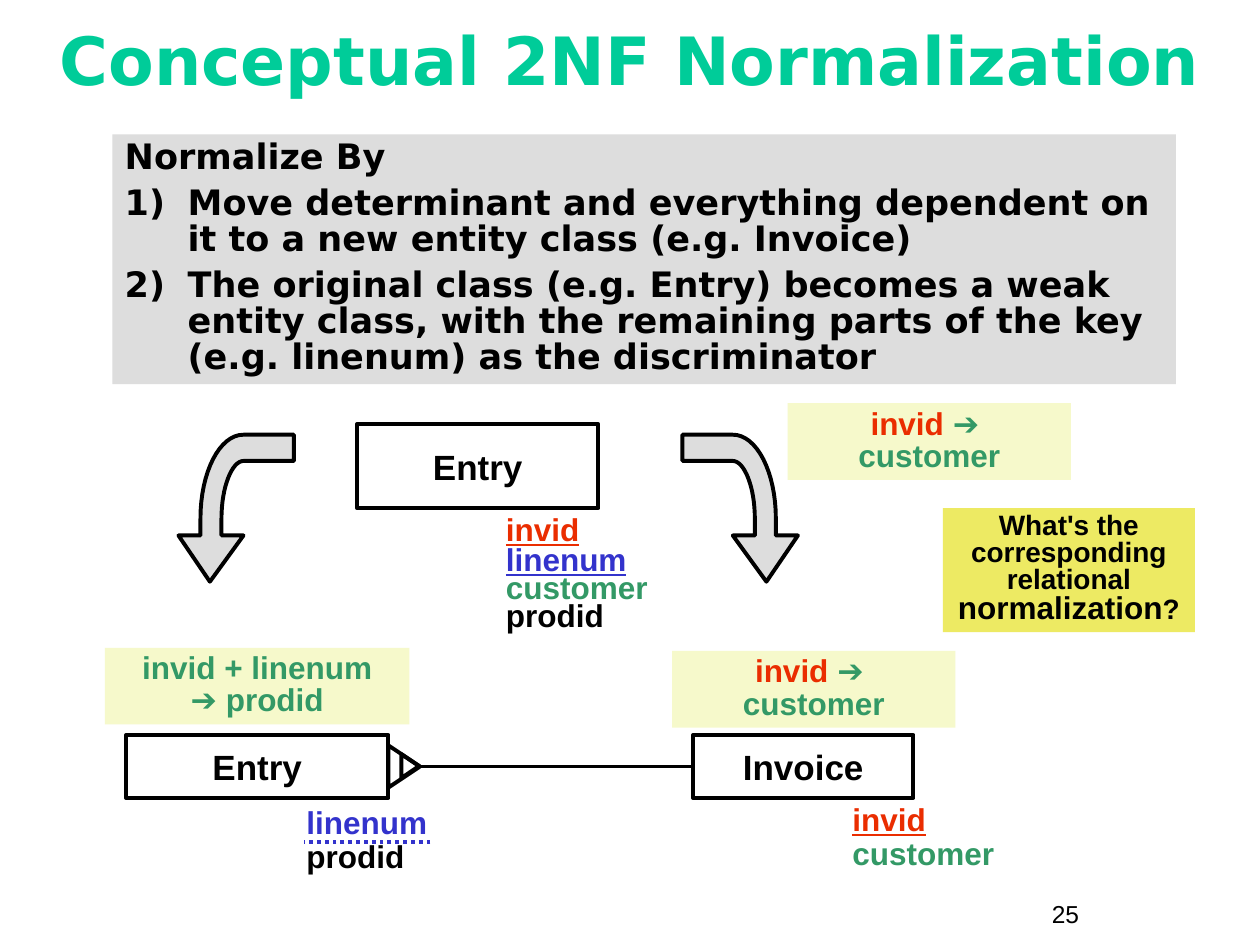
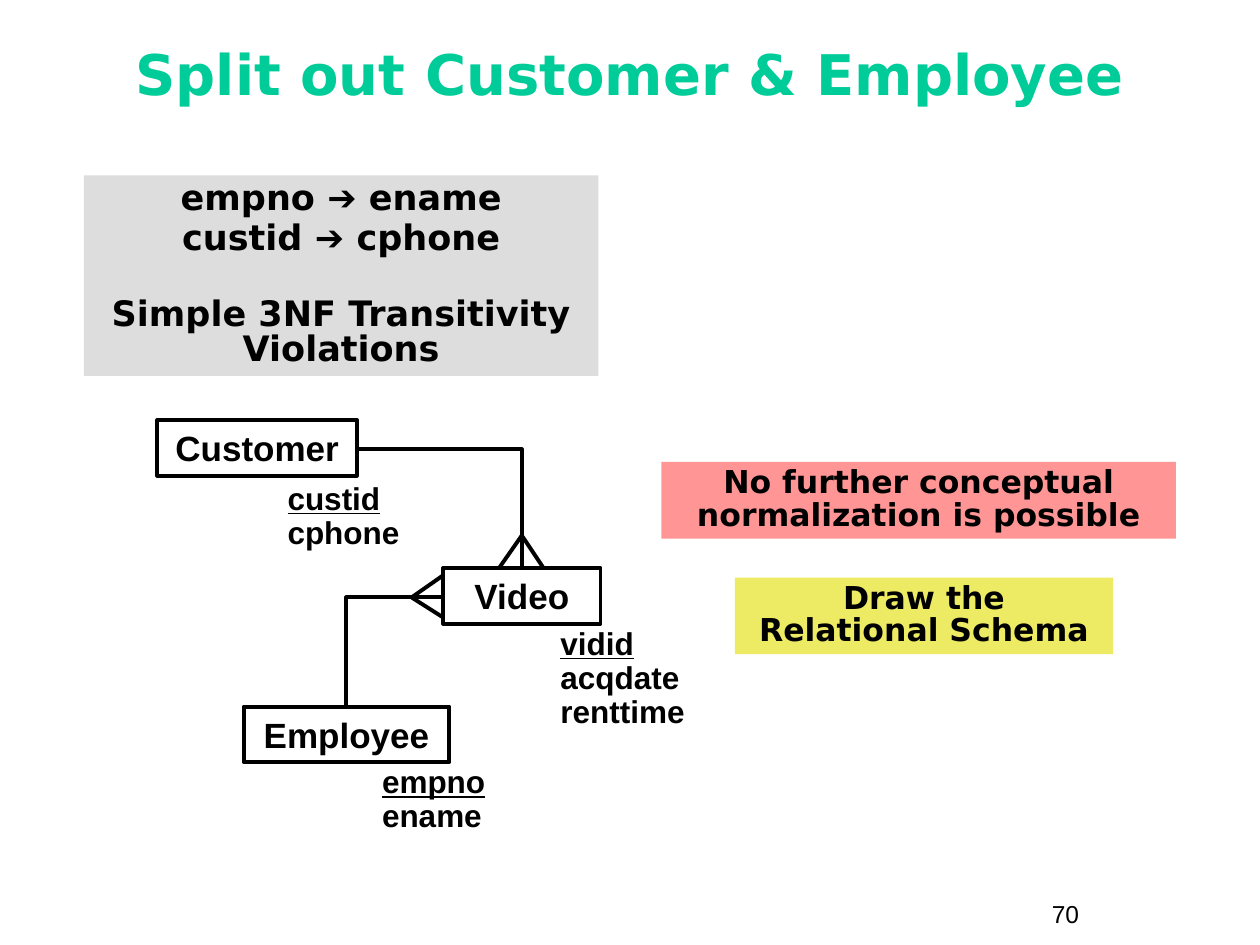
from dataclasses import dataclass
from lxml import etree
from pptx import Presentation
from pptx import util as u
from pptx.dml.color import RGBColor
from pptx.enum import dml, shapes, text
from pptx.oxml import ns


@dataclass(frozen=True)
class Theme:
    heading: str = "DejaVu Sans"
    body: str = "Arial"
    title: str = "00CC99"
    ink: str = "000000"
    key: str = "EA2D00"
    discriminator: str = "3333CC"
    dependent: str = "339966"
    panel: str = "DDDDDD"
    rule: str = "F6F9CB"
    task: str = "EDEA63"
    alert: str = "FF9595"
    entity_size: int = 20
    attribute_size: int = 18
    question_size: int = 16
    number_size: int = 14
    line_width: float = 2.25


theme = Theme()
COLUMNS, ROWS = 120, 90
presentation = Presentation()
presentation.slide_width = u.Inches(10)
presentation.slide_height = u.Inches(7.5)
column = presentation.slide_width / COLUMNS
row = presentation.slide_height / ROWS

CENTER = text.PP_ALIGN.CENTER
BODY = {"name": theme.body, "size": theme.attribute_size, "bold": True, "color": theme.ink}
HEADING = BODY | {"name": theme.heading}
ENTITY = BODY | {"size": theme.entity_size}
PANEL = HEADING | {"size": theme.entity_size}
NUMBER = BODY | {"size": theme.number_size, "bold": False}
KEY = {"color": theme.key}
DISCRIMINATOR = {"color": theme.discriminator}
DEPENDENT = {"color": theme.dependent}
UNDERLINE = {"underline": True}
CENTERED = {"alignment": CENTER}
TIGHT = CENTERED | {"line_spacing": 0.85}
LIST = {"line_spacing": 0.9}


def add_text(slide, box, paragraphs, font, layout, fill=None, outline=False, middle=False):
    left, top, width, height = box
    frame = [round(left * column), round(top * row), round(width * column), round(height * row)]
    if fill or outline:
        shape = slide.shapes.add_shape(shapes.MSO_SHAPE.RECTANGLE, *frame)
        shape.shadow.inherit = False
    else:
        shape = slide.shapes.add_textbox(*frame)
    if fill:
        shape.fill.solid()
        shape.fill.fore_color.rgb = RGBColor.from_string(fill)
    else:
        shape.fill.background()
    if outline:
        shape.line.color.rgb = RGBColor.from_string(theme.ink)
        shape.line.width = u.Pt(theme.line_width)
    else:
        shape.line.fill.background()
    body = shape.text_frame
    body.word_wrap = True
    body.vertical_anchor = text.MSO_ANCHOR.MIDDLE if middle else text.MSO_ANCHOR.TOP
    for index, (runs, extra) in enumerate(paragraphs):
        paragraph = body.add_paragraph() if index else body.paragraphs[0]
        for name, value in ({"alignment": text.PP_ALIGN.LEFT} | layout | extra).items():
            setattr(paragraph, name, value)
        for words, run_font in runs:
            for line_index, words_on_line in enumerate(words.split("\n")):
                if line_index:
                    paragraph.add_line_break()
                run = paragraph.add_run()
                run.text = words_on_line
                values = font | run_font
                run.font.color.rgb = RGBColor.from_string(values.pop("color"))
                values["size"] = u.Pt(values["size"])
                for name, value in values.items():
                    setattr(run.font, name, value)
    return shape


def add_line(slide, start, end, color=theme.ink, bent=False):
    ends = [round(value) for x, y in (start, end) for value in (x * column, y * row)]
    connector = slide.shapes.add_connector(shapes.MSO_CONNECTOR.STRAIGHT, *ends)
    properties = connector._element.spPr
    if bent:
        properties.find(ns.qn("a:prstGeom")).set("prst", "bentConnector2")
    connector.line.color.rgb = RGBColor.from_string(color)
    connector.line.width = u.Pt(theme.line_width)
    etree.SubElement(properties, ns.qn("a:effectLst"))
    return connector


slides = []
for title, title_size, title_box, number in (
    ("Conceptual 2NF Normalization", 38, (4, 2.25, 112, 8), "25"),
    ("Split out Customer & Employee", 32, (9, 2, 102, 11), "70"),
):
    slide = presentation.slides.add_slide(presentation.slide_layouts[6])
    add_text(slide, (99, 85, 11, 4), [([(number, {})], {})], NUMBER, {})
    title_font = HEADING | {"size": title_size, "color": theme.title}
    add_text(slide, title_box, [([(title, {})], {})], title_font, TIGHT, middle=True)
    slides.append(slide)
normal_form, split = slides

for slide, name, box in (
    (normal_form, "Entry", (34, 40.4, 23, 8)),
    (normal_form, "Invoice", (66, 70, 21, 6)),
    (normal_form, "Entry", (12, 70, 25, 6)),
    (split, "Video", (42.2, 54.1, 15, 5.3)),
    (split, "Employee", (23.2, 67.3, 19.6, 5.3)),
    (split, "Customer", (15, 40, 19, 5.3)),
):
    add_text(slide, box, [([(name, {})], {})], ENTITY, CENTERED, outline=True, middle=True)

squeezed = {"line_spacing": 0.75}
for slide, box, attributes in (
    (normal_form, (47, 48.4, 16, 12.6), [
        ("invid", KEY | UNDERLINE, {}),
        ("linenum", DISCRIMINATOR | UNDERLINE, squeezed),
        ("customer", DEPENDENT, squeezed),
        ("prodid", {}, squeezed)]),
    (normal_form, (80, 76, 17, 7.7), [("invid", KEY | UNDERLINE, {}), ("customer", DEPENDENT, {})]),
    (normal_form, (28, 76.3, 20, 7.7), [("linenum", DISCRIMINATOR, {}), ("prodid", {}, {})]),
    (split, (52.2, 59.2, 17, 10.9), [("vidid", UNDERLINE, {}), ("acqdate", {}, {}), ("renttime", {}, {})]),
    (split, (35.2, 72.4, 14, 7.7), [("empno", UNDERLINE, {}), ("ename", {}, {})]),
    (split, (26.2, 45.4, 14, 7.7), [("custid", UNDERLINE, {}), ("cphone", {}, {})]),
):
    add_text(slide, box, [([(name, font)], extra) for name, font, extra in attributes], BODY, LIST)

invoice_rule = [("invid ", KEY), ("➔ \ncustomer", DEPENDENT)]
for box, runs in (
    ((64, 62, 27, 7.3), invoice_rule),
    ((10, 61.7, 29, 7.3), [("invid + linenum\n➔ prodid", DEPENDENT)]),
    ((75, 38.4, 27, 7.3), invoice_rule),
):
    add_text(normal_form, box, [(runs, {})], BODY, TIGHT, fill=theme.rule)

steps = (
    "Normalize By",
    "Move determinant and everything dependent on it to a new entity class (e.g. Invoice)",
    "The original class (e.g. Entry) becomes a weak entity class, with the remaining parts "
    "of the key (e.g. linenum) as the discriminator",
)
method = add_text(
    normal_form, (10.7, 12.8, 101.3, 23.8),
    [([(step, {})], {"space_before": u.Pt(6.2 if index else 0)}) for index, step in enumerate(steps)],
    PANEL, {"line_spacing": 0.85}, fill=theme.panel)
for paragraph in method.text_frame.paragraphs[1:]:
    properties = paragraph._p.get_or_add_pPr()
    properties.set("marL", str(u.Inches(0.5)))
    properties.set("indent", str(-u.Inches(0.5)))
    bullet = etree.SubElement(properties, ns.qn("a:buAutoNum"))
    bullet.set("type", "arabicParenR")

question = [
    ("What's the corresponding relational ", {}),
    ("normalization", {"size": theme.attribute_size}),
    ("?", {}),
]
add_text(normal_form, (89.8, 48.4, 24, 11.8), [(question, {})], BODY | {"size": theme.question_size},
         CENTERED | {"line_spacing": 0.8}, fill=theme.task)

add_line(normal_form, (65.8, 73), (40, 73))
underline = add_line(normal_form, (41, 80.16), (29, 80.16), theme.discriminator)
underline.line.dash_style = dml.MSO_LINE.ROUND_DOT

for left, top, width, height in ((36.5, 71.5, 4, 3), (37.92, 72.12, 2.28, 1.68)):
    foot = normal_form.shapes.add_shape(
        shapes.MSO_SHAPE.ISOSCELES_TRIANGLE, round(left * column), round(top * row),
        round(width * column), round(height * row))
    foot.rotation = 90
    foot.shadow.inherit = False
    foot.fill.background()
    foot.line.color.rgb = RGBColor.from_string(theme.ink)
    foot.line.width = u.Pt(theme.line_width)

outer_curve = ((23.2, 41.4), (20.9, 41.4), (19.1, 45), (19.1, 49.4))
inner_curve = ((21.1, 49.4), (21.1, 46.4), (22.1, 43.9), (23.2, 43.9))
arcs = []
for curve in (outer_curve, inner_curve):
    arc = []
    for step in range(17):
        t = step / 16
        weights = ((1 - t) ** 3, 3 * t * (1 - t) ** 2, 3 * t ** 2 * (1 - t), t ** 3)
        arc.append(tuple(sum(w * point[axis] for w, point in zip(weights, curve)) for axis in (0, 1)))
    arcs.append(arc)
head = [(19.1, 51), (17, 51), (20, 55.4), (23.2, 51), (21.1, 51)]
outline = [(28, 41.4), *arcs[0], *head, *arcs[1], (28, 43.9)]
for mirrored in (False, True):
    points = [(round((93 - x if mirrored else x) * column), round(y * row)) for x, y in outline]
    builder = normal_form.shapes.build_freeform(*points[0])
    builder.add_line_segments(points[1:], close=True)
    arrow = builder.convert_to_shape()
    arrow.shadow.inherit = False
    arrow.fill.solid()
    arrow.fill.fore_color.rgb = RGBColor.from_string(theme.panel)
    arrow.line.color.rgb = RGBColor.from_string(theme.ink)
    arrow.line.width = u.Pt(theme.line_width)

arrow_run = ("➔", {"name": theme.body})
violations = [
    ([("empno ", {}), arrow_run, (" ename", {})], {}),
    ([("custid ", {}), arrow_run, (" cphone", {})], {"space_before": u.Pt(2.5)}),
    ([("Simple 3NF Transitivity Violations", {})], {"space_before": u.Pt(23)}),
]
add_text(split, (8, 16.7, 49, 19.1), violations, PANEL, TIGHT, fill=theme.panel)
for box, words, fill in (
    ((63, 44, 49, 7.3), "No further conceptual normalization is possible", theme.alert),
    ((70, 55, 36, 7.3), "Draw the\nRelational Schema", theme.task),
):
    add_text(split, box, [([(words, {})], {})], HEADING, TIGHT, fill=fill)

for start, end, bent in (
    ((34.2, 42.8), (49.7, 53.9), True),
    ((42, 56.9), (33, 67.1), True),
    ((49.7, 51), (47.6, 54), False),
    ((49.7, 51), (51.7, 54), False),
    ((39.2, 56.9), (42.2, 54.8), False),
    ((39.2, 56.9), (42.2, 58.8), False),
):
    add_line(split, start, end, bent=bent)

presentation.save("out.pptx")
